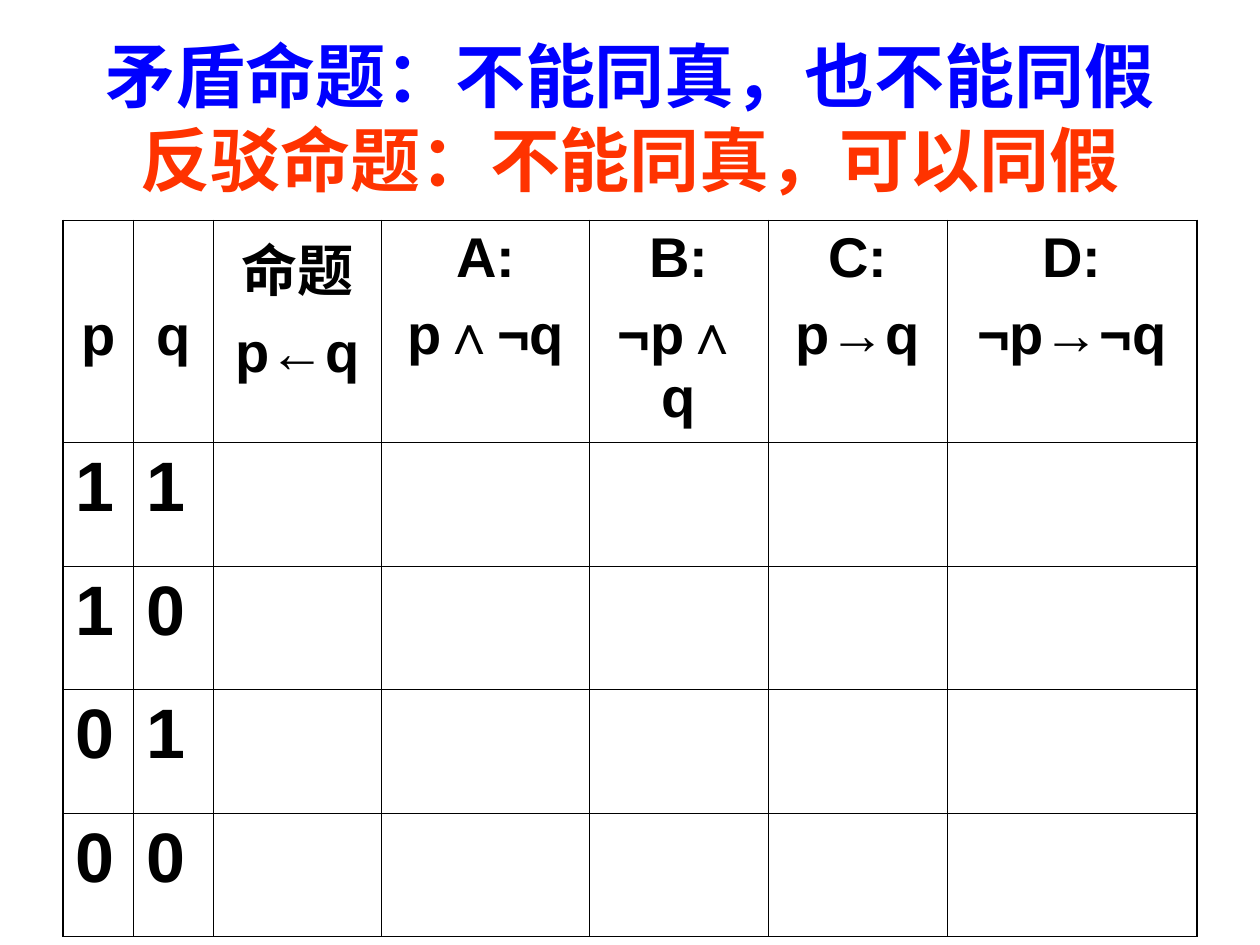
from lxml import etree
from pptx import Presentation
from pptx.dml.color import RGBColor
from pptx.enum.text import MSO_ANCHOR as Anchor, PP_ALIGN as Align
from pptx.oxml.ns import qn
from pptx.util import Inches, Pt

FONT = "Arial"
BLACK, WHITE, BLUE, RED = "000000", "FFFFFF", "0000FF", "FF3300"
THIN, THICK = 0.45, 1.08

COLUMN_WIDTHS = [0.56, 0.63, 1.34, 1.65, 1.42, 1.42, 1.98]
ROW_HEIGHTS = [1.71] + [0.98] * 4
HEADINGS = ["p", "q", "命题\np←q", "A:\np∧¬q", "B:\n¬p∧q", "C:\np→q", "D:\n¬p→¬q"]
TRUTH_VALUES = ["11", "10", "01", "00"]
# Drops a one-line heading to the level of the second line
SECOND_LINE_TOP = 0.67


def color(value):
    return RGBColor.from_string(value)


def style_run(span, size, ink):
    span.font.name = FONT
    span.font.size = Pt(size)
    span.font.bold = True
    span.font.color.rgb = color(ink)


def add_title(page, left, top, width, height):
    box = page.shapes.add_textbox(Inches(left), Inches(top), Inches(width), Inches(height))
    frame = box.text_frame
    frame.word_wrap = True
    frame.vertical_anchor = Anchor.MIDDLE
    para = frame.paragraphs[0]
    para.text = "矛盾命题：不能同真，也不能同假\v反驳命题：不能同真，可以同假"
    para.alignment = Align.CENTER
    for span, ink in zip(para.runs, [BLUE, RED]):
        style_run(span, 40, ink)


def set_borders(cell, widths):
    properties = cell._tc.get_or_add_tcPr()
    for position, (side, width) in enumerate(widths.items()):
        line = etree.Element(qn(f"a:ln{side}"), w=str(Pt(width)))
        fill = etree.SubElement(line, qn("a:solidFill"))
        etree.SubElement(fill, qn("a:srgbClr"), val=BLACK)
        properties.insert(position, line)


def fill_cell(cell, text, size, alignment):
    cell.text_frame.text = text
    for index, para in enumerate(cell.text_frame.paragraphs):
        para.alignment = alignment
        if index:
            para.space_before = Pt(8)
        for span in para.runs:
            style_run(span, size, BLACK)


def add_truth_table(page, left, top, width):
    row_count, column_count = len(ROW_HEIGHTS), len(COLUMN_WIDTHS)
    table = page.shapes.add_table(row_count, column_count, Inches(left), Inches(top),
                                  Inches(width), Inches(sum(ROW_HEIGHTS))).table
    table.first_row = table.horz_banding = False
    for column, size in zip(table.columns, COLUMN_WIDTHS):
        column.width = Inches(size)
    for row, size in zip(table.rows, ROW_HEIGHTS):
        row.height = Inches(size)

    # Plain cells: thick outer frame, thin inner grid
    for r in range(row_count):
        for c in range(column_count):
            cell = table.cell(r, c)
            cell.fill.solid()
            cell.fill.fore_color.rgb = color(WHITE)
            outer = {"L": c == 0, "R": c == column_count - 1,
                     "T": r == 0, "B": r == row_count - 1}
            set_borders(cell, {side: THICK if edge else THIN for side, edge in outer.items()})

    # Headings
    for c, heading in enumerate(HEADINGS):
        cell = table.cell(0, c)
        fill_cell(cell, heading, 32, Align.CENTER)
        cell.margin_bottom = 0
        if "\n" not in heading:
            cell.margin_top = Inches(SECOND_LINE_TOP)

    # Values of p and q
    for r, values in enumerate(TRUTH_VALUES, start=1):
        for c, value in enumerate(values):
            fill_cell(table.cell(r, c), value, 40, Align.LEFT)


def main():
    deck = Presentation()
    deck.slide_width, deck.slide_height = Inches(10), Inches(7.5)
    page = deck.slides.add_slide(deck.slide_layouts[6])
    add_title(page, 0.5, 0.3, 9, 1.25)
    add_truth_table(page, 0.5, 1.75, 9)
    deck.save("out.pptx")


if __name__ == "__main__":
    main()
